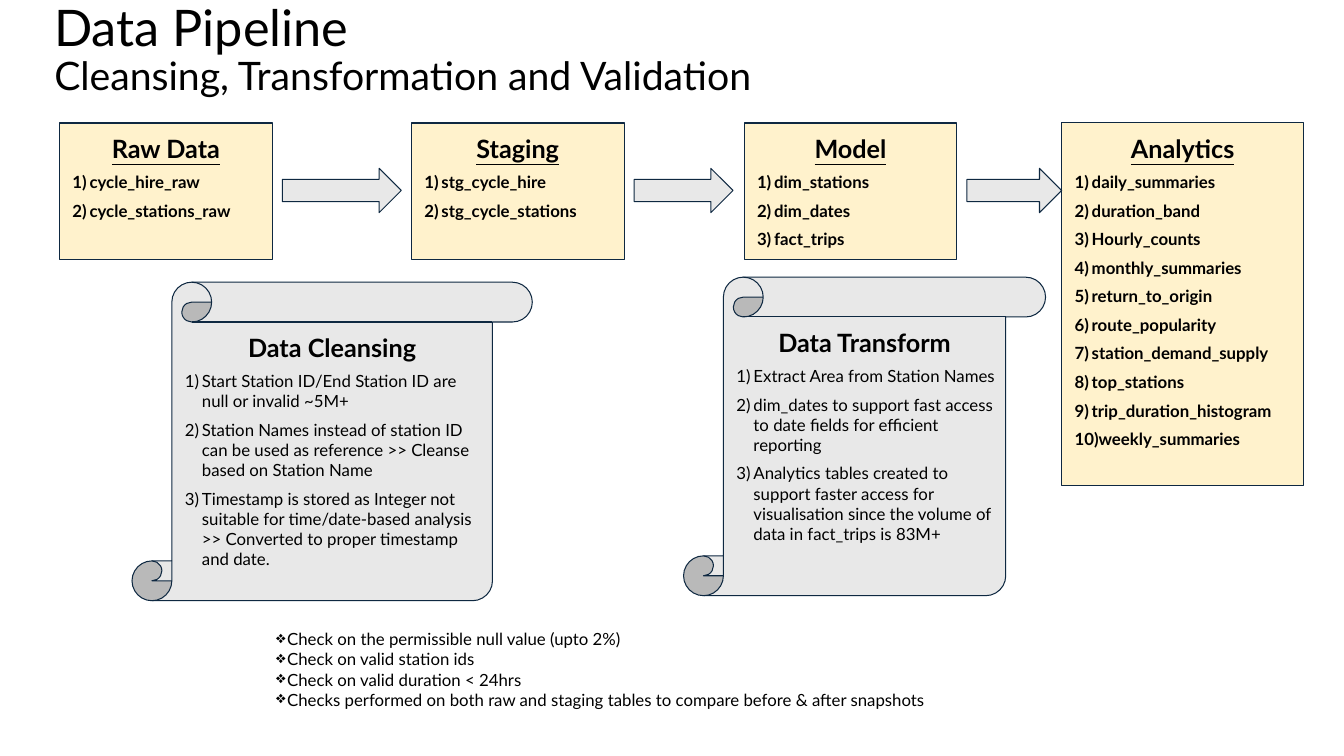
from lxml.etree import SubElement
from pptx import Presentation
from pptx.dml.color import RGBColor
from pptx.enum.shapes import MSO_SHAPE
from pptx.enum.text import MSO_ANCHOR, PP_ALIGN
from pptx.oxml.ns import qn
from pptx.util import Inches, Pt

CREAM, GREY, NAVY, BLACK = "FFF2CC", "E8E8E8", "0E2841", "000000"


def add_panel(s, kind, box, fill):
    sp = s.shapes.add_shape(kind, *map(Inches, box))
    sp.shadow.inherit = False
    sp.fill.solid()
    sp.fill.fore_color.rgb = RGBColor.from_string(fill)
    sp.line.color.rgb = RGBColor.from_string(NAVY)
    sp.line.width = Pt(0.75)
    tf = sp.text_frame
    tf.word_wrap = True
    tf.vertical_anchor = MSO_ANCHOR.TOP
    tf.margin_left = tf.margin_right = tf.margin_top = tf.margin_bottom = Inches(0.1)
    return tf


def write_line(p, text, size, bold=False, bullet=None, left=0.2, hang=0.17):
    """Fill a paragraph; bullet is None, "1)" for numbering, or a bullet character."""
    p.text = text
    p.alignment = PP_ALIGN.LEFT
    if bullet:
        pPr = p._p.get_or_add_pPr()
        pPr.set("marL", str(Inches(left)))
        pPr.set("indent", str(-Inches(hang)))
        if bullet == "1)":
            SubElement(pPr, qn("a:buAutoNum"), type="arabicParenR")
        else:
            SubElement(pPr, qn("a:buChar"), char=bullet)
    font = p.runs[0].font
    font.name = "Lato"
    font.size = Pt(size)
    font.bold = bold
    font.color.rgb = RGBColor.from_string(BLACK)


prs = Presentation()
prs.slide_width, prs.slide_height = Inches(13.33), Inches(7.5)
s = prs.slides.add_slide(prs.slide_layouts[6])

# Title
tf = s.shapes.add_textbox(Inches(0.44), Inches(0.18), Inches(11.5), Inches(0.65)).text_frame
tf.word_wrap = True
tf.vertical_anchor = MSO_ANCHOR.MIDDLE
write_line(tf.paragraphs[0], "Data Pipeline", 36)
write_line(tf.add_paragraph(), "Cleansing, Transformation and Validation", 28)
for p in tf.paragraphs:
    p.line_spacing = 0.9

# Pipeline stages and the two scrolls: kind, box, fill, heading, numbered items
RECT, SCROLL = MSO_SHAPE.RECTANGLE, MSO_SHAPE.VERTICAL_SCROLL
panels = [
    (RECT, (0.59, 1.22, 2.11, 1.35), CREAM, "Raw Data",
     ["cycle_hire_raw", "cycle_stations_raw"]),
    (RECT, (4.08, 1.22, 2.11, 1.35), CREAM, "Staging",
     ["stg_cycle_hire", "stg_cycle_stations"]),
    (RECT, (7.38, 1.22, 2.11, 1.35), CREAM, "Model",
     ["dim_stations", "dim_dates", "fact_trips"]),
    (RECT, (10.53, 1.22, 2.4, 3.6), CREAM, "Analytics",
     ["daily_summaries", "duration_band", "Hourly_counts", "monthly_summaries",
      "return_to_origin", "route_popularity", "station_demand_supply",
      "top_stations", "trip_duration_histogram", "weekly_summaries"]),
    (SCROLL, (1.31, 2.8, 3.97, 3.16), GREY, "Data Cleansing",
     ["Start Station ID/End Station ID are null or invalid ~5M+",
      "Station Names instead of station ID can be used as reference >> "
      "Cleanse based on Station Name",
      "Timestamp is stored as Integer not suitable for time/date-based analysis >> "
      "Converted to proper timestamp and date."]),
    (SCROLL, (6.78, 2.75, 3.59, 3.16), GREY, "Data Transform",
     ["Extract Area from Station Names",
      "dim_dates to support fast access to date fields for efficient reporting",
      "Analytics tables created to support faster access for visualisation "
      "since the volume of data in fact_trips is 83M+"]),
]
for kind, box, fill, heading, items in panels:
    is_stage = kind == RECT
    tf = add_panel(s, kind, box, fill)
    p = tf.paragraphs[0]
    write_line(p, heading, 18, bold=True)
    p.alignment = PP_ALIGN.CENTER
    p.runs[0].font.underline = is_stage
    for item in items:
        p = tf.add_paragraph()
        write_line(p, item, 12, bold=is_stage, bullet="1)")
        p.space_before = Pt(6)

# Arrows between stages
for left, width in [(2.8, 1.18), (6.29, 0.98), (9.59, 0.94)]:
    add_panel(s, MSO_SHAPE.RIGHT_ARROW, (left, 1.67, width, 0.44), GREY)

# Validation checks
checks = [
    "Check on the permissible null value (upto 2%)",
    "Check on valid station ids",
    "Check on valid duration < 24hrs",
    "Checks performed on both raw and staging tables to compare before & after snapshots",
]
tf = s.shapes.add_textbox(Inches(2.64), Inches(6.14), Inches(7.33), Inches(1.1)).text_frame
tf.word_wrap = True
tf.margin_top = tf.margin_bottom = Inches(0.1)
for i, check in enumerate(checks):
    p = tf.add_paragraph() if i else tf.paragraphs[0]
    write_line(p, check, 12, bullet="❖", left=0.11, hang=0.19)

prs.save("out.pptx")
